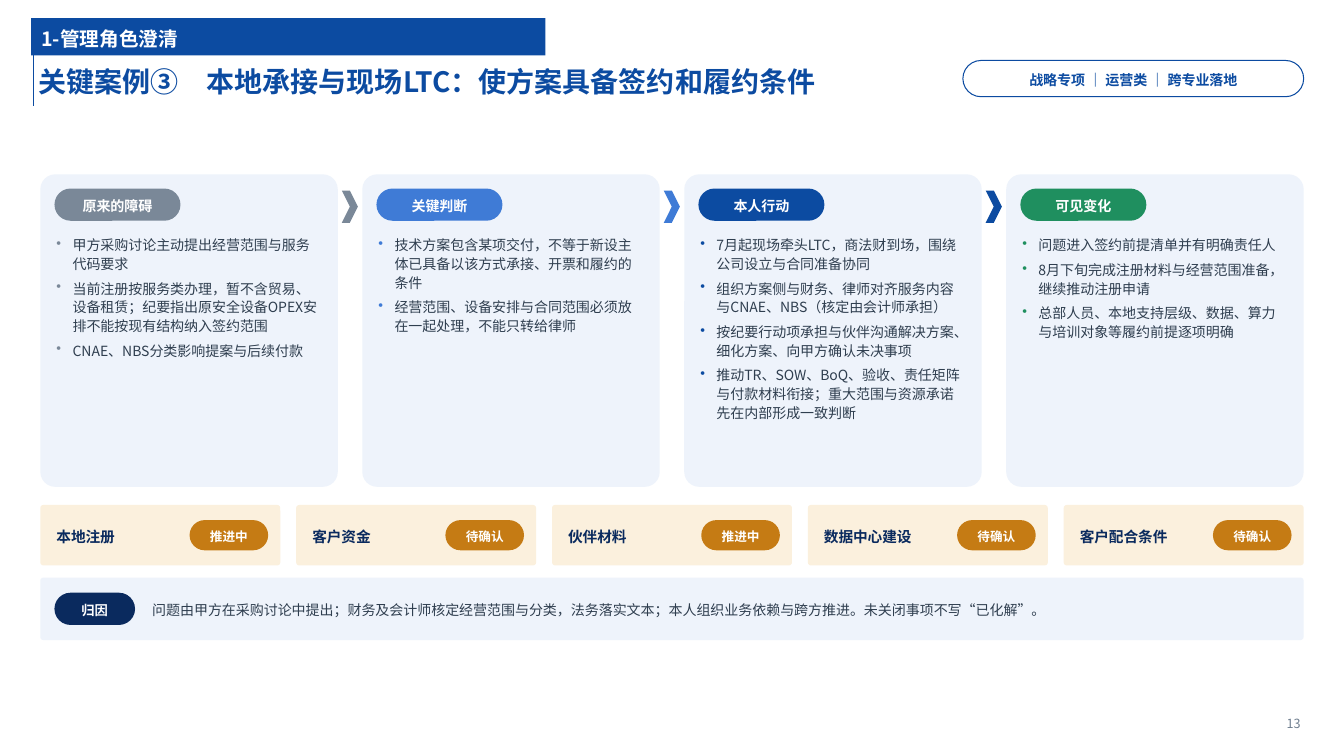
from lxml.etree import SubElement
from pptx import Presentation
from pptx.dml.color import RGBColor
from pptx.enum.shapes import MSO_CONNECTOR as Link, MSO_SHAPE as Kind
from pptx.enum.text import MSO_ANCHOR as Anchor, MSO_AUTO_SIZE as Fit, PP_ALIGN as Align
from pptx.oxml.ns import qn
from pptx.util import Inches, Pt

FONT = "Noto Sans CJK SC"
BLUE, SKY, NAVY, GRAY, GREEN = "0C4BA1", "3F7BD6", "0A2A5E", "7A8898", "1F8F5F"
AMBER, CREAM, PALE, WHITE, INK, MUTED = "C57B14", "FBF0DD", "EEF3FB", "FFFFFF", "2F3E4F", "6F7E8F"
LEFT, WIDE = 0.4, 12.53
PAD = (0.06, 0.04, 0.06, 0.04)

STAGES = [
    ("原来的障碍", GRAY, [
        "甲方采购讨论主动提出经营范围与服务代码要求",
        "当前注册按服务类办理，暂不含贸易、设备租赁；纪要指出原安全设备OPEX安排不能按现有结构纳入签约范围",
        "CNAE、NBS分类影响提案与后续付款"]),
    ("关键判断", SKY, [
        "技术方案包含某项交付，不等于新设主体已具备以该方式承接、开票和履约的条件",
        "经营范围、设备安排与合同范围必须放在一起处理，不能只转给律师"]),
    ("本人行动", BLUE, [
        "7月起现场牵头LTC，商法财到场，围绕公司设立与合同准备协同",
        "组织方案侧与财务、律师对齐服务内容与CNAE、NBS（核定由会计师承担）",
        "按纪要行动项承担与伙伴沟通解决方案、细化方案、向甲方确认未决事项",
        "推动TR、SOW、BoQ、验收、责任矩阵与付款材料衔接；重大范围与资源承诺先在内部形成一致判断"]),
    ("可见变化", GREEN, [
        "问题进入签约前提清单并有明确责任人",
        "8月下旬完成注册材料与经营范围准备，继续推动注册申请",
        "总部人员、本地支持层级、数据、算力与培训对象等履约前提逐项明确"]),
]
STATES = [("本地注册", "推进中"), ("客户资金", "待确认"), ("伙伴材料", "推进中"),
          ("数据中心建设", "待确认"), ("客户配合条件", "待确认")]


def paint(target, color):
    target.fill.solid()
    target.fill.fore_color.rgb = RGBColor.from_string(color)


def mark(para, color=None):
    """Give the paragraph a coloured bullet, or none."""
    props = para._p.get_or_add_pPr()
    props.set("marL", str(Inches(0.16 if color else 0)))
    props.set("indent", str(Inches(-0.16 if color else 0)))
    if color:
        SubElement(SubElement(props, qn("a:buClr")), qn("a:srgbClr"), val=color)
        SubElement(props, qn("a:buChar"), char="•")
    else:
        SubElement(props, qn("a:buNone"))


def write(shape, text, size=10, color=INK, bold=False, align=Align.LEFT,
          anchor=Anchor.MIDDLE, pad=PAD, dot=None, after=0):
    """Fill the shape with one string or a list of paragraphs."""
    frame = shape.text_frame
    frame.word_wrap, frame.auto_size, frame.vertical_anchor = True, Fit.NONE, anchor
    (frame.margin_left, frame.margin_top,
     frame.margin_right, frame.margin_bottom) = map(Inches, pad)
    for i, line in enumerate([text] if isinstance(text, str) else text):
        para = frame.add_paragraph() if i else frame.paragraphs[0]
        mark(para, dot)
        para.alignment, para.line_spacing = align, 1.12
        para.space_before, para.space_after = Pt(0), Pt(after)
        run = para.add_run()
        run.text = line
        font = run.font
        font.size, font.bold, font.name = Pt(size), bold, FONT
        font.color.rgb = RGBColor.from_string(color)
        SubElement(run._r.get_or_add_rPr(), qn("a:ea"), typeface=FONT)


class Page:
    def __init__(self, deck):
        self.slide = deck.slides.add_slide(deck.slide_layouts[1])
        self.shapes = self.slide.shapes

    def holder(self, index, box, text, fill=None, **style):
        shape = self.slide.placeholders[index]
        shape.left, shape.top, shape.width, shape.height = map(Inches, box)
        if fill:
            paint(shape, fill)
        write(shape, text, bold=True, **style)

    def rule(self, x, top, end):
        line = self.shapes.add_connector(Link.STRAIGHT, *map(Inches, (x, top, x, end)))
        line.line.color.rgb = RGBColor.from_string(BLUE)
        line.line.width = Pt(1)
        SubElement(line._element.spPr, qn("a:effectLst"))

    def form(self, kind, box, fill, bend=None, edge=None):
        shape = self.shapes.add_shape(kind, *map(Inches, box))
        shape.shadow.inherit = False
        paint(shape, fill)
        if bend is not None:
            shape.adjustments[0] = bend
        if edge:
            shape.line.color.rgb = RGBColor.from_string(edge)
            shape.line.width = Pt(0.75)
        else:
            shape.line.fill.background()
        return shape

    def card(self, box, fill):
        self.form(Kind.ROUNDED_RECTANGLE, box, fill, 0.05)

    def pill(self, box, text, fill, color=WHITE, size=10, edge=None):
        shape = self.form(Kind.ROUNDED_RECTANGLE, box, fill, 0.5, edge)
        write(shape, text, size=size, color=color, bold=True,
              align=Align.CENTER, pad=(0.04, 0, 0.04, 0))

    def text(self, box, text, **style):
        write(self.shapes.add_textbox(*map(Inches, box)), text, **style)

    def stages(self):
        width = 2.95
        step = (WIDE - width) / (len(STAGES) - 1)
        for i, (name, color, points) in enumerate(STAGES):
            x = LEFT + i * step
            self.card((x, 1.73, width, 3.1), PALE)
            self.pill((x + 0.14, 1.87, 1.25, 0.32), name, color)
            self.text((x + 0.1, 2.29, width - 0.2, 2.48), points,
                      anchor=Anchor.TOP, dot=color, after=4)
            if i < len(STAGES) - 1:
                self.form(Kind.CHEVRON, (x + width + 0.04, 1.89, 0.16, 0.32), color)

    def states(self):
        width = 2.38
        step = (WIDE - width) / (len(STATES) - 1)
        for i, (name, state) in enumerate(STATES):
            x = LEFT + i * step
            self.card((x, 5.01, width, 0.6), CREAM)
            self.text((x + 0.1, 5.01, 1.38, 0.6), name, size=10.5, color=NAVY, bold=True)
            self.pill((x + 1.48, 5.16, 0.78, 0.3), state, AMBER, size=9)


def main():
    deck = Presentation()
    deck.slide_width, deck.slide_height = Inches(13.33), Inches(7.5)
    page = Page(deck)
    page.rule(0.33, 0.24, 1.05)
    page.holder(0, (0.33, 0.53, 11.5, 0.52), "关键案例③　本地承接与现场LTC：使方案具备签约和履约条件",
                size=20, color=BLUE, pad=(0.05, 0, 0.05, 0))
    page.holder(1, (0.31, 0.18, 5.1, 0.37), "1-管理角色澄清", fill=BLUE,
                size=14, color=WHITE, pad=(0.1, 0, 0.05, 0))
    page.pill((9.55, 0.6, 3.38, 0.36), "战略专项 ｜ 运营类 ｜ 跨专业落地", WHITE, BLUE, edge=BLUE)
    page.text((12, 7.02, 0.95, 0.3), "13", size=9, color=MUTED,
              align=Align.RIGHT, pad=(0, 0, 0.05, 0))
    page.stages()
    page.states()
    page.card((LEFT, 5.73, WIDE, 0.62), PALE)
    page.pill((0.54, 5.88, 0.8, 0.32), "归因", NAVY, size=9.5)
    page.text((1.45, 5.73, 11.33, 0.62),
              "问题由甲方在采购讨论中提出；财务及会计师核定经营范围与分类，法务落实文本；"
              "本人组织业务依赖与跨方推进。未关闭事项不写“已化解”。")
    deck.save("out.pptx")


if __name__ == "__main__":
    main()
